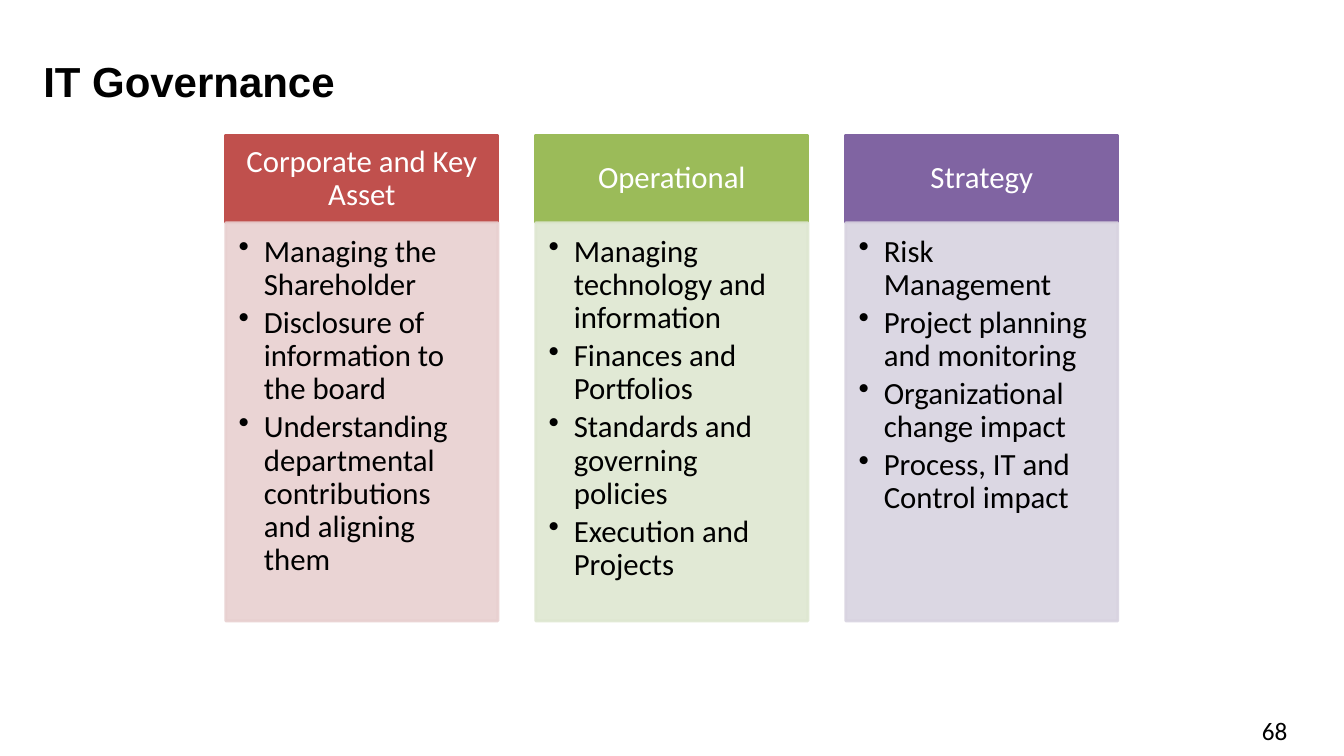
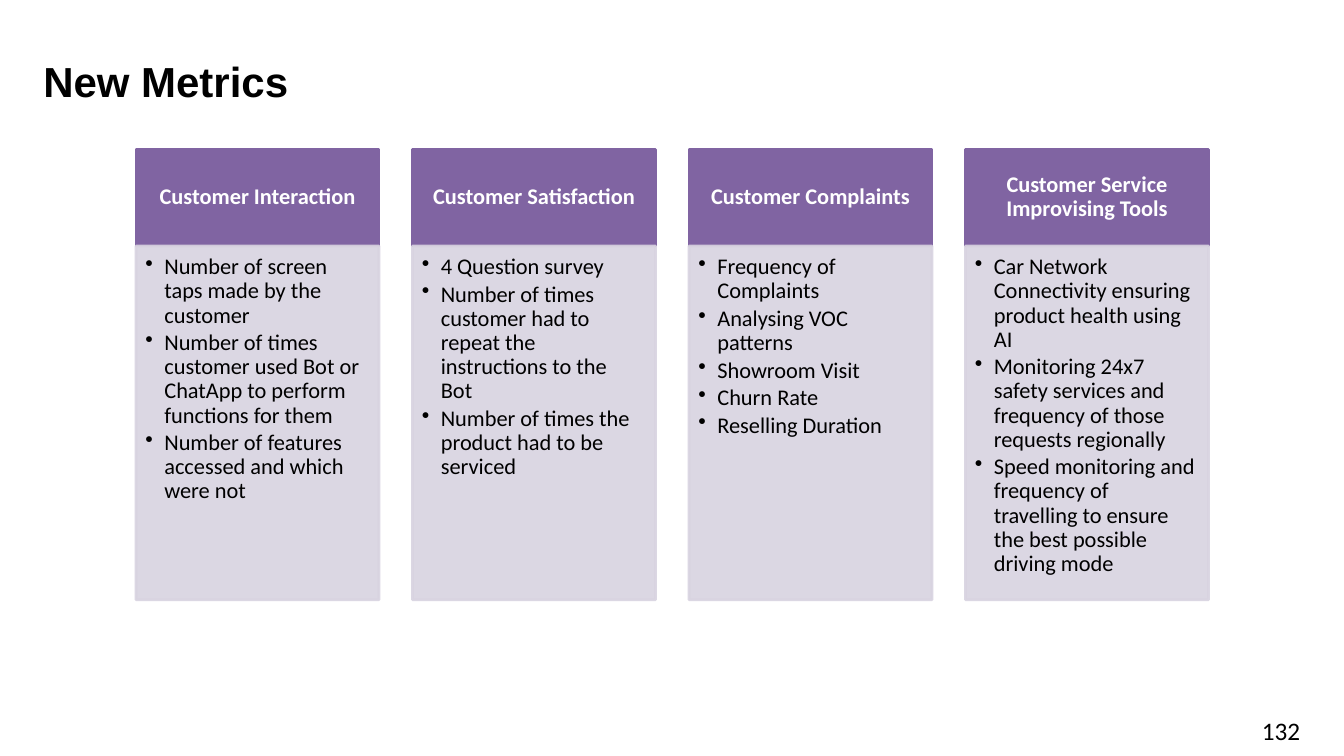
from pptx import Presentation
from pptx import util as u
from pptx.dml.color import RGBColor
from pptx.enum import shapes, text
from pptx.oxml import ns
from lxml import etree

# Shared style
WHITE = RGBColor(0xFF, 0xFF, 0xFF)
BLACK = RGBColor(0x00, 0x00, 0x00)
RED = RGBColor(0xC0, 0x50, 0x4D)
PALE_RED = RGBColor(0xE8, 0xD0, 0xD0)
GREEN = RGBColor(0x9B, 0xBB, 0x59)
PALE_GREEN = RGBColor(0xDE, 0xE7, 0xD1)
PURPLE = RGBColor(0x80, 0x64, 0xA2)
PALE_PURPLE = RGBColor(0xD8, 0xD3, 0xE0)
TITLE_FONT = "Arial"
BODY_FONT = "Calibri"
BODY_OPACITY = 90

# Column layouts: text size drives insets and paragraph spacing
GOVERNANCE_LAYOUT = dict(left=161.3, top=96.5, width=194.4, pitch=221.4,
                         header=62.6, body=284.4, size=22, indent=18, bold=False)
METRICS_LAYOUT = dict(left=97.2, top=106.6, width=173.5, pitch=197.5,
                      header=69.1, body=252.7, size=16, indent=13.5, bold=True)

# Column content: heading, header colour, body colour, bullets
GOVERNANCE = [
    ("Corporate and Key Asset", RED, PALE_RED, [
        "Managing the Shareholder",
        "Disclosure of information to the board",
        "Understanding departmental contributions and aligning them"]),
    ("Operational", GREEN, PALE_GREEN, [
        "Managing technology and information",
        "Finances and Portfolios",
        "Standards and governing policies",
        "Execution and Projects"]),
    ("Strategy", PURPLE, PALE_PURPLE, [
        "Risk Management",
        "Project planning and monitoring",
        "Organizational change impact",
        "Process, IT and Control impact"]),
]
METRICS = [(heading, PURPLE, PALE_PURPLE, bullets) for heading, bullets in [
    ("Customer Interaction", [
        "Number of screen taps made by the customer",
        "Number of times customer used Bot or ChatApp to perform functions for them",
        "Number of features accessed and which were not"]),
    ("Customer Satisfaction", [
        "4 Question survey",
        "Number of times customer had to repeat the instructions to the Bot",
        "Number of times the product had to be serviced"]),
    ("Customer Complaints", [
        "Frequency of Complaints",
        "Analysing VOC patterns",
        "Showroom Visit",
        "Churn Rate",
        "Reselling Duration"]),
    ("Customer Service Improvising Tools", [
        "Car Network Connectivity ensuring product health using AI",
        "Monitoring 24x7 safety services and frequency of those requests regionally",
        "Speed monitoring and frequency of travelling to ensure the best possible "
        "driving mode"]),
]]


def style_font(paragraph, name, size, color, bold=False):
    font = paragraph.font
    font.name, font.size, font.bold = name, u.Pt(size), bold
    font.color.rgb = color


def set_insets(frame, left, top, right, bottom):
    frame.margin_left, frame.margin_top = u.Pt(left), u.Pt(top)
    frame.margin_right, frame.margin_bottom = u.Pt(right), u.Pt(bottom)


def add_label(slide, box, content, font_name, size, bold=False, inset_top=3.6):
    frame = slide.shapes.add_textbox(*map(u.Pt, box)).text_frame
    frame.word_wrap = True
    frame.margin_top = u.Pt(inset_top)
    paragraph = frame.paragraphs[0]
    paragraph.text = content
    style_font(paragraph, font_name, size, BLACK, bold)


def add_panel(slide, box, color, opacity=100):
    shape = slide.shapes.add_shape(shapes.MSO_SHAPE.RECTANGLE, *map(u.Pt, box))
    shape.shadow.inherit = False
    shape.fill.solid()
    shape.fill.fore_color.rgb = color
    shape.line.color.rgb = color
    shape.line.width = u.Pt(2)
    if opacity < 100:
        for color_element in shape.fill._xPr.iter(ns.qn("a:srgbClr")):
            etree.SubElement(color_element, ns.qn("a:alpha"), val=str(opacity * 1000))
    shape.text_frame.word_wrap = True
    return shape


def add_bullet(paragraph, indent):
    properties = paragraph._p.get_or_add_pPr()
    properties.set("marL", str(u.Pt(indent)))
    properties.set("indent", str(-u.Pt(indent)))
    etree.SubElement(properties, ns.qn("a:buChar"), char="•")


def add_header(slide, box, heading, color, size, bold):
    frame = add_panel(slide, box, color).text_frame
    set_insets(frame, 0.56 * size, 0.32 * size, 0.56 * size, 0.32 * size)
    frame.vertical_anchor = text.MSO_ANCHOR.MIDDLE
    paragraph = frame.paragraphs[0]
    paragraph.text = heading
    paragraph.alignment = text.PP_ALIGN.CENTER
    paragraph.line_spacing = 0.9
    style_font(paragraph, BODY_FONT, size, WHITE, bold)


def add_bullet_panel(slide, box, bullets, color, size, indent):
    frame = add_panel(slide, box, color, BODY_OPACITY).text_frame
    set_insets(frame, 0.42 * size, 0.42 * size, 0.56 * size, 0.63 * size)
    frame.vertical_anchor = text.MSO_ANCHOR.TOP
    for index, bullet in enumerate(bullets):
        paragraph = frame.add_paragraph() if index else frame.paragraphs[0]
        paragraph.text = bullet
        add_bullet(paragraph, indent)
        paragraph.alignment = text.PP_ALIGN.LEFT
        paragraph.line_spacing = 0.9
        paragraph.space_after = u.Pt(0.15 * size)
        style_font(paragraph, BODY_FONT, size, BLACK)


def add_columns(slide, columns, layout):
    top, width, size = layout["top"], layout["width"], layout["size"]
    for index, (heading, color, pale_color, bullets) in enumerate(columns):
        left = layout["left"] + index * layout["pitch"]
        add_header(slide, (left, top, width, layout["header"]),
                   heading, color, size, layout["bold"])
        add_bullet_panel(slide, (left, top + layout["header"], width, layout["body"]),
                         bullets, pale_color, size, layout["indent"])


def add_column_slide(presentation, title, number, columns, layout):
    slide = presentation.slides.add_slide(presentation.slide_layouts[6])
    add_label(slide, (894.2, 507.6, 49.7, 28.8), number, BODY_FONT, 18)
    add_label(slide, (23.8, 33.1, 766.8, 42.5), title, TITLE_FONT, 30,
              bold=True, inset_top=6.8)
    add_columns(slide, columns, layout)


def main():
    presentation = Presentation()
    presentation.slide_width, presentation.slide_height = u.Pt(960), u.Pt(540)
    add_column_slide(presentation, "IT Governance", "68", GOVERNANCE, GOVERNANCE_LAYOUT)
    add_column_slide(presentation, "New Metrics", "132", METRICS, METRICS_LAYOUT)
    presentation.save("out.pptx")


if __name__ == "__main__":
    main()
